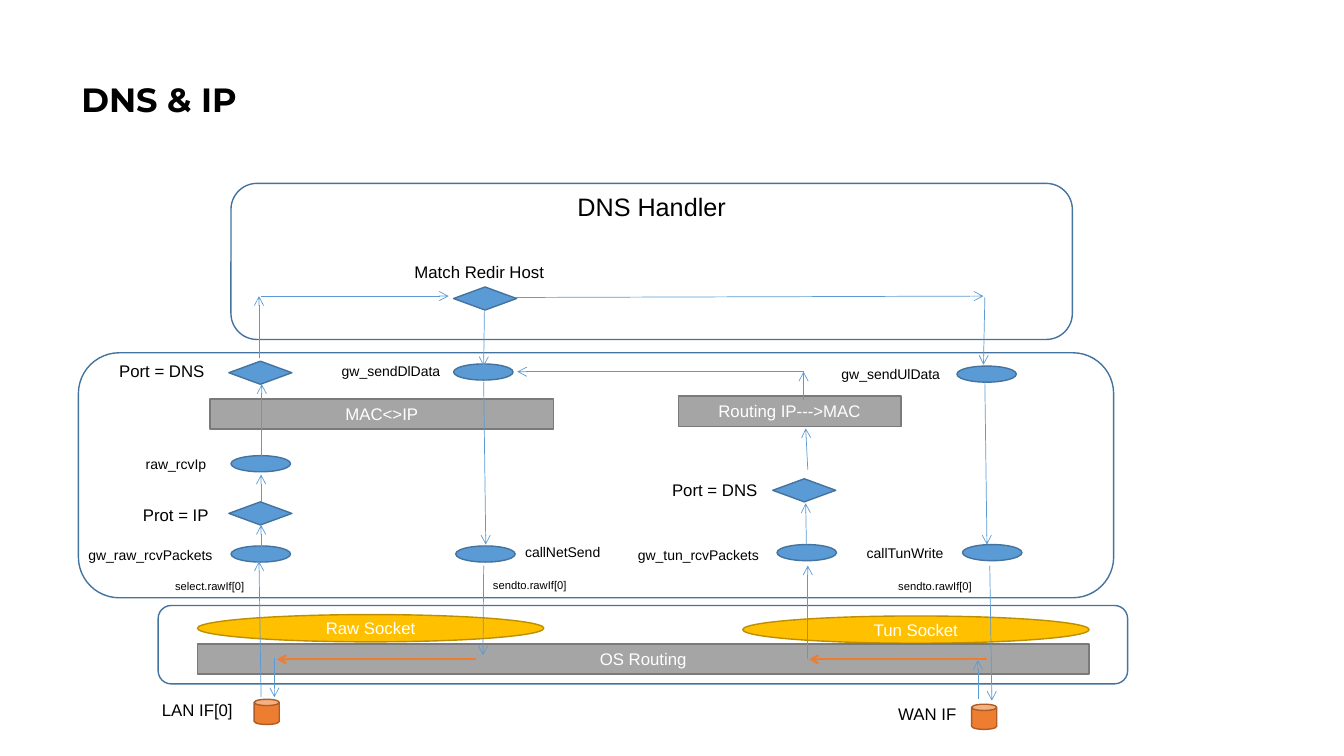
"""Build the DNS and IP packet flow slide."""
from dataclasses import dataclass

from lxml import etree
from pptx import Presentation
from pptx import util as u
from pptx.dml import color
from pptx.enum import shapes, text
from pptx.oxml import ns


@dataclass(frozen=True)
class Theme:
    blue: str = "5B9BD5"
    navy: str = "43739E"
    gray: str = "A5A5A5"
    dark_gray: str = "7A7A7A"
    gold: str = "FFC000"
    dark_gold: str = "BD8E00"
    orange: str = "ED7D31"
    dark_orange: str = "AF5C24"
    black: str = "000000"
    white: str = "FFFFFF"
    font: str = "Arial"
    title_font: str = "Montserrat"
    title: int = 24
    heading: int = 18
    body: int = 12
    name: int = 10
    call: int = 8


th = Theme()
rgb = color.RGBColor.from_string
kinds = shapes.MSO_SHAPE
prs = Presentation()
prs.slide_width, prs.slide_height = u.Pt(960), u.Pt(540)
s = prs.slides.add_slide(prs.slide_layouts[6])


def write(sp, words, size, ink, align=text.PP_ALIGN.LEFT, font=th.font):
    tf = sp.text_frame
    tf.word_wrap = True
    p = tf.paragraphs[0]
    p.alignment = align
    r = p.add_run()
    r.text = words
    r.font.size, r.font.name = u.Pt(size), font
    r.font.color.rgb = rgb(ink)
    return tf, p, r


def add_shape(kind, box, fill, line):
    sp = s.shapes.add_shape(kind, *map(u.Pt, box))
    sp.shadow.inherit = False
    if fill:
        sp.fill.solid()
        sp.fill.fore_color.rgb = rgb(fill)
    else:
        sp.fill.background()
    sp.line.color.rgb = rgb(line)
    sp.line.width = u.Pt(1)
    return sp


title = s.shapes.add_textbox(*map(u.Pt, (51, 20, 828, 104.5)))
tf, p, r = write(title, "DNS & IP", th.title, th.black, font=th.title_font)
tf.vertical_anchor = text.MSO_ANCHOR.MIDDLE
p.line_spacing = 0.9
r.font.bold = True

handler, gateway, system = [
    add_shape(kinds.ROUNDED_RECTANGLE, box, None, th.navy)
    for box in [(165, 131, 601, 111.5), (56, 252, 739.5, 175), (113, 432.5, 692.5, 56)]
]
tf, p, r = write(handler, "DNS Handler", th.heading, th.black, text.PP_ALIGN.CENTER)
tf.vertical_anchor = text.MSO_ANCHOR.TOP
tf.margin_top = 0

for x, y in [(163.5, 258), (163.5, 358.5), (324, 205), (552, 342)]:
    add_shape(kinds.DIAMOND, (x, y, 45, 16.5), th.blue, th.navy)

for x, y in [(165, 325.5), (165, 390), (324, 260), (325.5, 390),
             (683.5, 261.5), (687.5, 389), (555, 389)]:
    add_shape(kinds.OVAL, (x, y, 42.5, 11.5), th.blue, th.navy)

for x, y in [(181.5, 499.5), (694, 503)]:
    add_shape(kinds.CAN, (x, y, 18, 18), th.orange, th.dark_orange)

bar = kinds.RECTANGLE, th.gray, th.dark_gray
socket = kinds.OVAL, th.gold, th.dark_gold
for (kind, fill, line), words, box in [
    (bar, "MAC<>IP", (150, 285, 245.5, 21.5)),
    (bar, "Routing IP--->MAC", (484.5, 283, 159, 21.5)),
    (socket, "Raw Socket", (141, 439, 247.5, 19.5)),
    (socket, "Tun Socket", (530.5, 440, 247.5, 19.5)),
    (bar, "OS Routing", (141, 460, 637, 21.5)),
]:
    sp = add_shape(kind, box, fill, line)
    tf, p, r = write(sp, words, th.body, th.white, text.PP_ALIGN.CENTER)
    tf.vertical_anchor = text.MSO_ANCHOR.MIDDLE

labels = {
    th.body: [
        ("Port = DNS", 78, 254, 81), ("Prot = IP", 95, 357, 66),
        ("LAN IF[0]", 108.5, 496, 70), ("Port = DNS", 473, 339, 81),
        ("WAN IF", 634.5, 499.5, 57), ("Match Redir Host", 289, 183.5, 117),
    ],
    th.name: [
        ("gw_raw_rcvPackets", 56, 386.5, 112), ("raw_rcvIp", 97, 322, 67),
        ("gw_sendDlData", 237, 255.5, 97), ("callNetSend", 368, 384.5, 97),
        ("gw_sendUlData", 594, 257.5, 97), ("callTunWrite", 612, 385.5, 97),
        ("gw_tun_rcvPackets", 448.5, 386.5, 112),
    ],
    th.call: [
        ("select.rawIf[0]", 118, 410.5, 72), ("sendto.rawIf[0]", 345, 409.5, 76),
        ("sendto.rawIf[0]", 634.5, 410.5, 76),
    ],
}
for size, items in labels.items():
    for words, x, y, width in items:
        sp = s.shapes.add_textbox(*map(u.Pt, (x, y, width, size * 1.2 + 7.2)))
        write(sp, words, size, th.black)

arrows = {
    (th.blue, 0.5): [
        (186.5, 498, 185, 401), (186.5, 395, 186.5, 375), (186.5, 358.5, 186.5, 339),
        (187, 325.5, 187, 274.5), (185, 256, 185, 211.5), (186.5, 211.5, 320.5, 211.5),
        (346, 222, 345.5, 261.5), (345.5, 273, 347, 389), (345.5, 404, 345, 468),
        (196, 470, 196, 498), (368.5, 212.5, 702.5, 211.5), (703.5, 212.5, 702.5, 260.5),
        (703.5, 273, 705, 389), (707, 404, 708.5, 500.5), (698.5, 499.5, 698.5, 471.5),
        (577, 471, 577, 404), (576, 389, 575.5, 359.5), (577, 335.5, 575.5, 306),
        (574, 286, 574, 265.5), (574, 265.5, 369.5, 265.5),
    ],
    (th.orange, 1.5): [(340, 471, 198, 471), (705, 471, 578, 471)],
}
for (ink, width), routes in arrows.items():
    for route in routes:
        cx = s.shapes.add_connector(shapes.MSO_CONNECTOR.STRAIGHT, *map(u.Pt, route))
        cx.line.color.rgb = rgb(ink)
        cx.line.width = u.Pt(width)
        etree.SubElement(cx.line._get_or_add_ln(), ns.qn("a:tailEnd"), type="arrow")
        etree.SubElement(cx._element.spPr, ns.qn("a:effectLst"))

prs.save("out.pptx")
